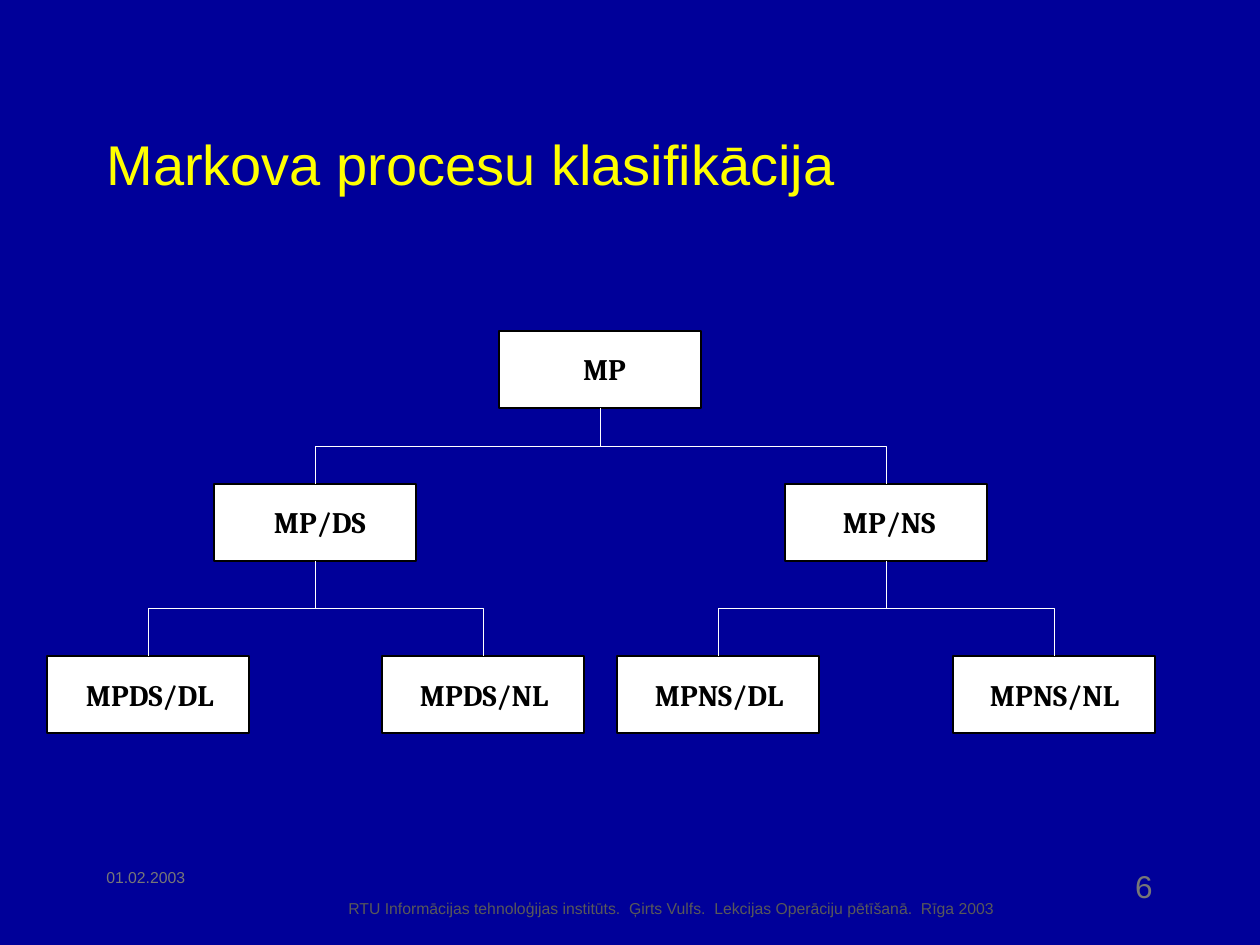
from pptx import Presentation
from pptx.dml.color import RGBColor
from pptx.enum.shapes import MSO_SHAPE
from pptx.enum.text import MSO_ANCHOR, MSO_AUTO_SIZE, PP_ALIGN
from pptx.util import Emu, Pt

SCALE = 914400 / 126
COLORS = {
    "background": "000099",
    "title": "FFFF00",
    "node": "FFFFFF",
    "ink": "000000",
    "branch": "FFFFFF",
    "footer": "595959",
    "muted": "777777",
}
NODE_WIDTH, NODE_HEIGHT = 202, 77
LABEL_HEIGHT = 35
LEVELS = [(331, 351), (484, 504), (656, 677)]
NODES = {
    "MP": (0, 499, 583, 47),
    "MP/NS": (1, 785, 843, 100),
    "MP/DS": (1, 214, 274, 98),
    "MPNS/NL": (2, 953, 990, 141),
    "MPNS/DL": (2, 617, 655, 139),
    "MPDS/DL": (2, 47, 86, 136),
    "MPDS/NL": (2, 382, 420, 139),
}
CHILDREN = {
    "MP": ("MP/NS", "MP/DS"),
    "MP/DS": ("MPDS/NL", "MPDS/DL"),
    "MP/NS": ("MPNS/DL", "MPNS/NL"),
}


def px(value):
    return Emu(round(value * SCALE))


def color(name):
    return RGBColor.from_string(COLORS[name])


def add_text(page, text, frame, size, ink, font="Arial", bold=False,
             align=PP_ALIGN.LEFT, anchor=MSO_ANCHOR.TOP, inset=True, wrap=True):
    box = page.shapes.add_textbox(*map(px, frame))
    body = box.text_frame
    body.word_wrap = wrap
    body.auto_size = MSO_AUTO_SIZE.NONE if wrap else MSO_AUTO_SIZE.SHAPE_TO_FIT_TEXT
    body.vertical_anchor = anchor
    if not inset:
        body.margin_left = body.margin_right = body.margin_top = body.margin_bottom = 0
    paragraph = body.paragraphs[0]
    paragraph.text = text
    paragraph.alignment = align
    paragraph.font.name = font
    paragraph.font.size = Pt(size)
    paragraph.font.bold = bold
    paragraph.font.color.rgb = color(ink)


def add_node(page, name):
    level, left, label_left, label_width = NODES[name]
    top, label_top = LEVELS[level]
    box = page.shapes.add_shape(
        MSO_SHAPE.RECTANGLE, *map(px, (left, top, NODE_WIDTH, NODE_HEIGHT)))
    box.shadow.inherit = False
    box.fill.solid()
    box.fill.fore_color.rgb = color("node")
    box.line.color.rgb = color("ink")
    box.line.width = Pt(0.75)
    add_text(page, name, (label_left, label_top, label_width, LABEL_HEIGHT),
             17, "ink", font="Cambria", bold=True, inset=False, wrap=False)


def add_branch(page, parent, child):
    parent_level, parent_left = NODES[parent][:2]
    child_level, child_left = NODES[child][:2]
    start_x = parent_left + NODE_WIDTH // 2
    end_x = child_left + NODE_WIDTH // 2
    start_y = LEVELS[parent_level][0] + NODE_HEIGHT
    end_y = LEVELS[child_level][0]
    middle_y = (start_y + end_y) / 2
    builder = page.shapes.build_freeform(px(start_x), px(start_y))
    corners = [(start_x, middle_y), (end_x, middle_y), (end_x, end_y)]
    builder.add_line_segments([(px(x), px(y)) for x, y in corners], close=False)
    branch = builder.convert_to_shape()
    branch.shadow.inherit = False
    branch.fill.background()
    branch.line.color.rgb = color("branch")
    branch.line.width = Pt(0.25)


def main():
    deck = Presentation()
    deck.slide_width, deck.slide_height = px(1260), px(945)
    page = deck.slides.add_slide(deck.slide_layouts[6])
    page.background.fill.solid()
    page.background.fill.fore_color.rgb = color("background")

    add_text(page, "RTU Informācijas tehnoloģijas institūts.  Ģirts Vulfs.  "
             "Lekcijas Operāciju pētīšanā.  Rīga 2003",
             (336, 893, 672, 32), 9, "footer", wrap=False)
    add_text(page, "Markova procesu klasifikācija", (94, 84, 1071, 158),
             32, "title", anchor=MSO_ANCHOR.MIDDLE)
    for name in NODES:
        add_node(page, name)
    for parent, children in CHILDREN.items():
        for child in children:
            add_branch(page, parent, child)
    add_text(page, "6", (1018, 861, 147, 63), 18, "muted", align=PP_ALIGN.RIGHT)
    add_text(page, "01.02.2003", (94, 862, 242, 63), 9, "muted")
    deck.save("out.pptx")


if __name__ == "__main__":
    main()
